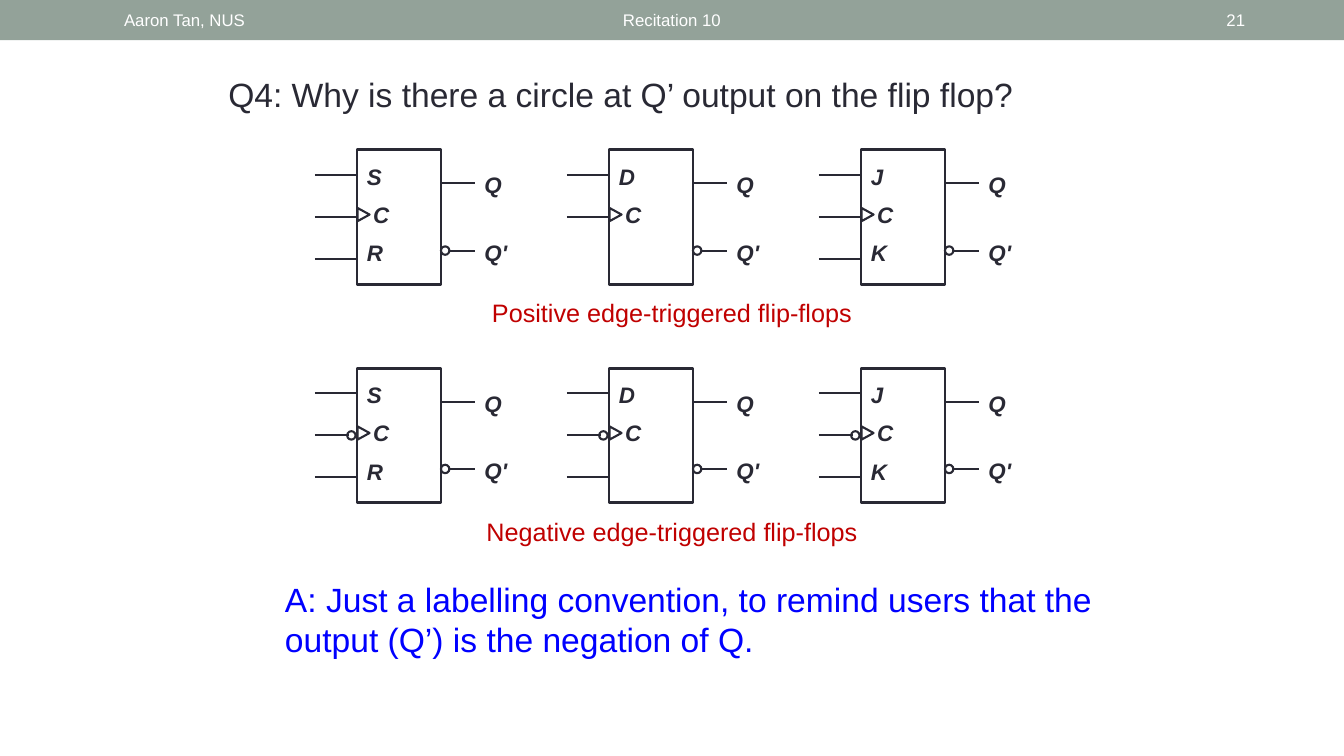
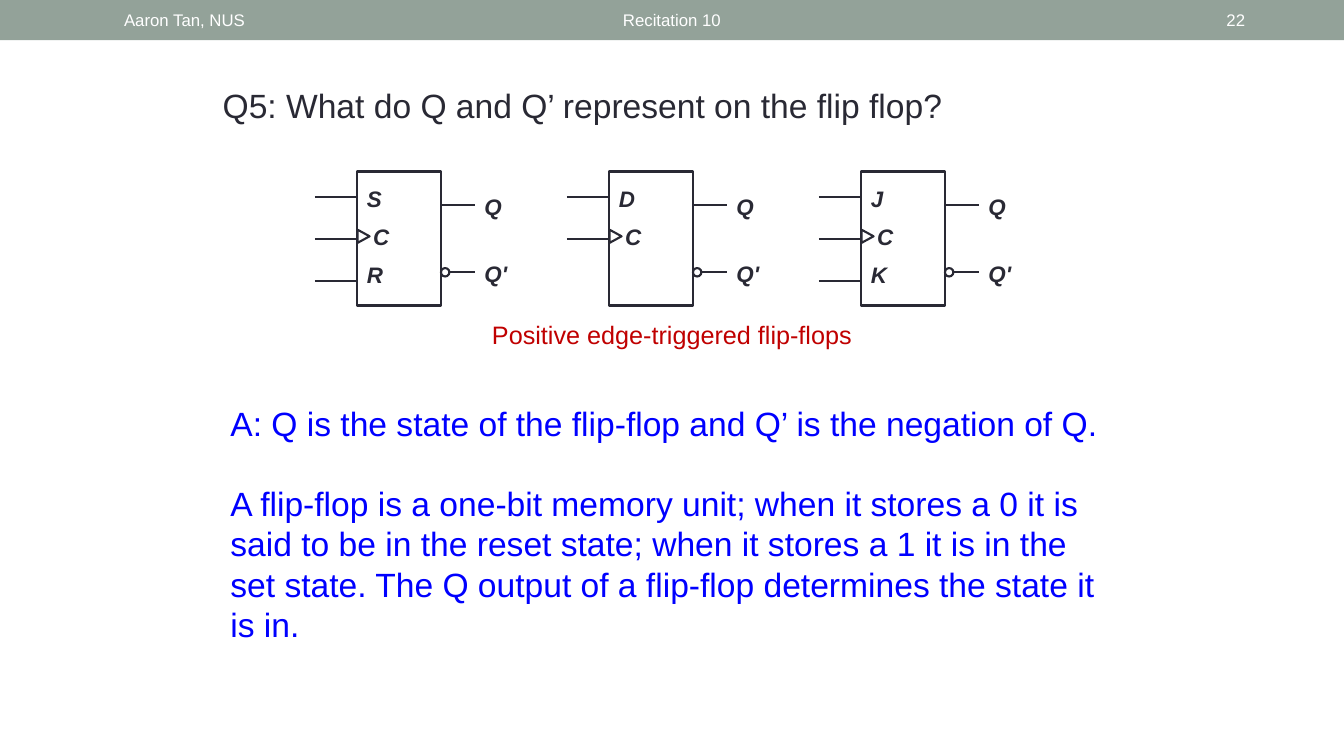
from dataclasses import dataclass
from typing import Any

from pptx import Presentation
from pptx.dml.color import RGBColor
from pptx.enum.shapes import MSO_CONNECTOR as Connector, MSO_SHAPE as Preset
from pptx.enum.text import MSO_ANCHOR as Anchor, MSO_AUTO_SIZE as AutoSize, PP_ALIGN as Align
from pptx.oxml.ns import qn
from pptx.util import Pt
from lxml.etree import SubElement

FONT = "Arial"
INK, BAND, WHITE, RED, BLUE = "292934", "93A299", "FFFFFF", "C00000", "0000FF"
PAGE_WIDTH, PAGE_HEIGHT, BAND_HEIGHT = 960, 540, 28.8

# Flip-flop geometry
FIRST_LEFT, PITCH = 255, 180
BODY_WIDTH, BODY_HEIGHT = 60, 96
INPUT_LENGTH, OUTPUT_LENGTH = 30, 24
INPUT_OFFSETS = (18, 48, 78)
CLOCK = 1
BUBBLE = 6


@dataclass(frozen=True)
class Box:
    left: float
    top: float
    width: float
    height: float


@dataclass(frozen=True)
class Style:
    size: float
    color: str = INK
    bold: bool = False
    italic: bool = False
    align: Align = Align.LEFT
    anchor: Anchor = Anchor.TOP
    auto_size: AutoSize = AutoSize.SHAPE_TO_FIT_TEXT


@dataclass(frozen=True)
class Label:
    text: str
    gap: float = 0
    indent: float = 0


@dataclass(frozen=True)
class FlipFlop:
    first: str
    second: str = ""


@dataclass(frozen=True)
class Row:
    top: float
    caption: str
    negative: bool = False


@dataclass(frozen=True)
class Passage:
    text: str
    box: Box
    color: str = INK


@dataclass(frozen=True)
class Content:
    number: int
    passages: tuple[Passage, ...]
    rows: tuple[Row, ...]


PIN = Style(16, bold=True, italic=True)
CAPTION = Style(18, RED, align=Align.CENTER)
FLIP_FLOPS = (FlipFlop("S", "R"), FlipFlop("D"), FlipFlop("J", "K"))
POSITIVE = "Positive edge-triggered flip-flops"
NEGATIVE = "Negative edge-triggered flip-flops"

PAGES = (
    Content(
        21,
        (
            Passage("Q4: Why is there a circle at Q’ output on the flip flop?",
                    Box(156, 49, 626, 36)),
            Passage("A: Just a labelling convention, to remind users that the "
                    "output (Q’) is the negation of Q.", Box(196.5, 410, 593, 65.5), BLUE),
        ),
        (Row(107, POSITIVE), Row(263, NEGATIVE, negative=True)),
    ),
    Content(
        22,
        (
            Passage("Q5: What do Q and Q’ represent on the flip flop?",
                    Box(152, 57, 626, 36)),
            Passage("A: Q is the state of the flip-flop and Q’ is the negation of Q.",
                    Box(157.5, 284, 644.5, 36), BLUE),
            Passage("A flip-flop is a one-bit memory unit; when it stores a 0 it is said "
                    "to be in the reset state; when it stores a 1 it is in the set state. "
                    "The Q output of a flip-flop determines the state it is in.",
                    Box(157.5, 341.5, 644.5, 124), BLUE),
        ),
        (Row(122.5, POSITIVE),),
    ),
)


def rgb(color: str) -> RGBColor:
    return RGBColor.from_string(color)


def apply(target: Any, values: dict[str, Any]) -> None:
    for name, value in values.items():
        setattr(target, name, value)


def place(box: Box) -> tuple[Pt, Pt, Pt, Pt]:
    return Pt(box.left), Pt(box.top), Pt(box.width), Pt(box.height)


def add_text(shapes: Any, box: Box, style: Style, *labels: Label) -> None:
    frame = shapes.add_textbox(*place(box)).text_frame
    apply(frame, {"word_wrap": True, "auto_size": style.auto_size,
                  "vertical_anchor": style.anchor})
    for index, label in enumerate(labels):
        para = frame.add_paragraph() if index else frame.paragraphs[0]
        apply(para, {"alignment": style.align, "space_before": Pt(label.gap)})
        if label.indent:
            para._p.get_or_add_pPr().set("marL", str(Pt(label.indent)))
        span = para.add_run()
        span.text = label.text
        apply(span.font, {"name": FONT, "size": Pt(style.size),
                          "bold": style.bold, "italic": style.italic})
        span.font.color.rgb = rgb(style.color)


def add_outline(shapes: Any, preset: Preset, box: Box, weight: float = 1.5,
                rotation: float = 0) -> None:
    shape = shapes.add_shape(preset, *place(box))
    shape.shadow.inherit = False
    shape.fill.background()
    shape.line.color.rgb = rgb(INK)
    shape.line.width = Pt(weight)
    shape.rotation = rotation


def add_wire(shapes: Any, start: float, end: float, height: float) -> None:
    wire = shapes.add_connector(Connector.STRAIGHT, Pt(start), Pt(height), Pt(end), Pt(height))
    wire.line.color.rgb = rgb(INK)
    wire.line.width = Pt(1.5)
    SubElement(wire._element.spPr, qn("a:effectLst"))


def add_bubble(shapes: Any, left: float, middle: float) -> None:
    add_outline(shapes, Preset.OVAL, Box(left, middle - BUBBLE / 2, BUBBLE, BUBBLE))


def add_flip_flop(shapes: Any, part: FlipFlop, left: float, row: Row) -> None:
    top, right = row.top, left + BODY_WIDTH
    add_outline(shapes, Preset.RECTANGLE, Box(left, top, BODY_WIDTH, BODY_HEIGHT), 2)

    # Inputs: the positive D type has no third wire
    wire_count = 3 if part.second or row.negative else 2
    for index, offset in enumerate(INPUT_OFFSETS[:wire_count]):
        inverted = row.negative and index == CLOCK
        add_wire(shapes, left - INPUT_LENGTH, left - BUBBLE * inverted, top + offset)
        if inverted:
            add_bubble(shapes, left - BUBBLE - 1, top + offset)
    add_outline(shapes, Preset.ISOSCELES_TRIANGLE, Box(left, top + 42, 9.4, 8.6), rotation=90)

    # Outputs: plain Q and inverted Q'
    add_wire(shapes, right, right + OUTPUT_LENGTH, top + 24)
    add_wire(shapes, right + BUBBLE, right + OUTPUT_LENGTH, top + 72)
    add_bubble(shapes, right, top + 72)

    # Pin names
    pins = [Label(part.first), Label("C", 8, 4.45)]
    if part.second:
        pins.append(Label(part.second, 8))
    add_text(shapes, Box(left, top + 6, 42, 29 + 27 * (len(pins) - 1)), PIN, *pins)
    add_text(shapes, Box(right + OUTPUT_LENGTH, top + 12, 36, 76), PIN,
             Label("Q"), Label("Q'", 28.8))


def add_row(page: Any, row: Row) -> None:
    shapes = page.shapes.add_group_shape().shapes
    for index, part in enumerate(FLIP_FLOPS):
        add_flip_flop(shapes, part, FIRST_LEFT + PITCH * index, row)
    add_text(shapes, Box(336, row.top + 102, 288, 29), CAPTION, Label(row.caption))


def add_header(page: Any, number: int) -> None:
    band = page.shapes.add_shape(Preset.RECTANGLE, *place(Box(0, 0, PAGE_WIDTH, BAND_HEIGHT)))
    band.shadow.inherit = False
    band.fill.solid()
    band.fill.fore_color.rgb = rgb(BAND)
    band.line.fill.background()
    for text, left, width, align in (
        ("Aaron Tan, NUS", 81.5, 228, Align.LEFT),
        ("Recitation 10", 217.5, 525, Align.CENTER),
        (str(number), 828, 68.5, Align.RIGHT),
    ):
        style = Style(12, WHITE, align=align, anchor=Anchor.MIDDLE, auto_size=AutoSize.NONE)
        add_text(page.shapes, Box(left, 1.4, width, 26), style, Label(text))


def main() -> None:
    deck = Presentation()
    apply(deck, {"slide_width": Pt(PAGE_WIDTH), "slide_height": Pt(PAGE_HEIGHT)})
    for content in PAGES:
        page = deck.slides.add_slide(deck.slide_layouts[6])
        add_header(page, content.number)
        for passage in content.passages:
            add_text(page.shapes, passage.box, Style(24, passage.color), Label(passage.text))
        for row in content.rows:
            add_row(page, row)
    deck.save("out.pptx")


if __name__ == "__main__":
    main()
